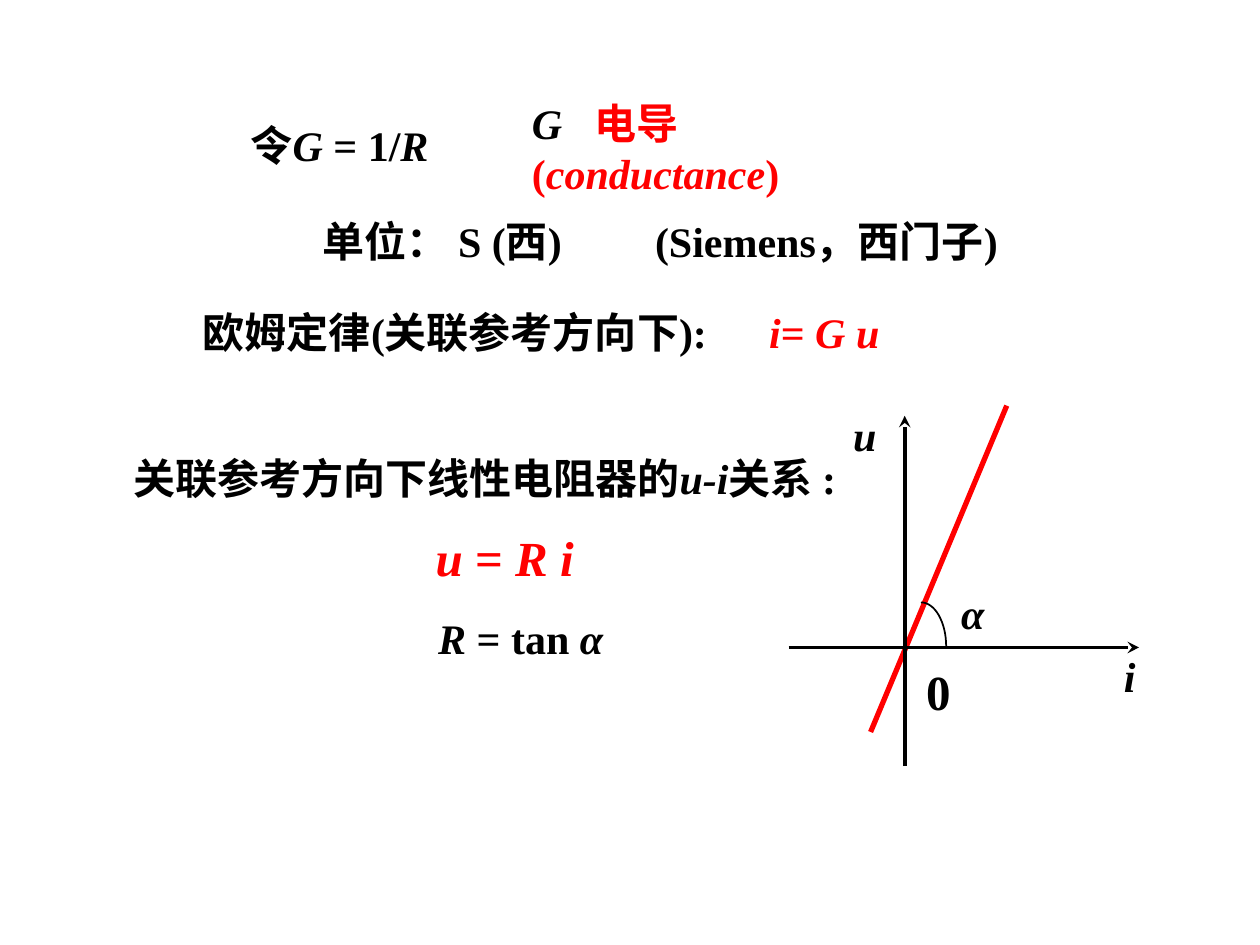
"""Build a slide on conductance and the u-i line of a linear resistor."""
from math import cos, pi, sin

from lxml import etree
from pptx import Presentation
from pptx.dml.color import RGBColor
from pptx.enum.shapes import MSO_CONNECTOR
from pptx.enum.text import MSO_ANCHOR, MSO_AUTO_SIZE, PP_ALIGN
from pptx.oxml.ns import qn
from pptx.util import Pt

LEFT, CENTER, JUSTIFY = PP_ALIGN.LEFT, PP_ALIGN.CENTER, PP_ALIGN.JUSTIFY
MIDDLE = MSO_ANCHOR.MIDDLE
GROW = MSO_AUTO_SIZE.SHAPE_TO_FIT_TEXT
STRAIGHT = MSO_CONNECTOR.STRAIGHT
FONT = "Times New Roman"
COLORS = {"black": "000000", "red": "FF0000"}

presentation = Presentation()
presentation.slide_width, presentation.slide_height = Pt(720), Pt(540)
slide = presentation.slides.add_slide(presentation.slide_layouts[6])


def add_text(box, runs, size=24, align=LEFT, wrap=True, tab=None, spacing=None):
    shape = slide.shapes.add_textbox(*map(Pt, box))
    frame = shape.text_frame
    frame.margin_left = frame.margin_right = frame.margin_top = frame.margin_bottom = 0
    frame.vertical_anchor, frame.auto_size, frame.word_wrap = MIDDLE, GROW, wrap
    paragraph = frame.paragraphs[0]
    paragraph.alignment = align
    if spacing:
        paragraph.line_spacing = spacing
    if tab:
        tabs = etree.SubElement(paragraph._p.get_or_add_pPr(), qn("a:tabLst"))
        etree.SubElement(tabs, qn("a:tab"), pos=str(Pt(tab)), algn="l")
    for text, color, italic in runs:
        run = paragraph.add_run()
        run.text = text
        font = run.font
        font.name, font.size, font.bold, font.italic = FONT, Pt(size), True, italic
        font.color.rgb = RGBColor.from_string(COLORS[color])


def add_line(start, end, color, width, arrow=False):
    connector = slide.shapes.add_connector(STRAIGHT, *map(Pt, start + end))
    connector.line.color.rgb = RGBColor.from_string(COLORS[color])
    connector.line.width = Pt(width)
    if arrow:
        etree.SubElement(connector.line._get_or_add_ln(), qn("a:tailEnd"), type="stealth")
    etree.SubElement(connector._element.spPr, qn("a:effectLst"))


add_text((141, 68.4, 106, 28.8), [
    ("令", "black", False), ("G ", "black", True),
    ("= 1/", "black", False), ("R", "black", True)], align=CENTER)
add_text((304, 70, 224.6, 28.8), [
    ("G\t", "black", True), ("电导 (", "red", False),
    ("conductance", "red", True), (")", "red", False)], tab=36)
add_text((116, 175, 541.5, 28.8), [
    ("欧姆定律(关联参考方向下):\t", "black", False), ("i", "red", True),
    ("= ", "red", False), ("G u", "red", True)], tab=323.5)
add_text((184.3, 108.7, 486.7, 43.2), [
    ("单位： S (西)\t(Siemens，西门子)", "black", False)],
    align=JUSTIFY, tab=190, spacing=1.5)
add_text((76.3, 258.5, 414, 28.8), [
    ("关联参考方向下线性电阻器的", "black", False),
    ("u-i", "black", True), ("关系 :", "black", False)])
add_text((232, 350, 131, 28.8), [
    ("R ", "black", True), ("= tan ", "black", False), ("α", "black", True)], align=CENTER)
add_text((241.2, 298, 94.3, 41), [
    ("u ", "red", True), ("= ", "red", False), ("R i", "red", True)],
    size=28, align=CENTER)

add_line((575.3, 231.8), (497.5, 418.3), "red", 3)

arc_x, arc_y, radius_x, radius_y, steps = 526.3, 369.4, 14.4, 25.2, 16
angles = [pi / 2 * step / steps for step in range(steps + 1)]
points = [(Pt(arc_x + radius_x * sin(angle)), Pt(arc_y - radius_y * cos(angle)))
          for angle in angles]
builder = slide.shapes.build_freeform(*points[0])
builder.add_line_segments(points[1:], close=False)
angle_arc = builder.convert_to_shape()
angle_arc.shadow.inherit = False
angle_arc.fill.background()
angle_arc.line.color.rgb = RGBColor.from_string(COLORS["black"])
angle_arc.line.width = Pt(1)

add_line((450.7, 370), (650.9, 370), "black", 2.25, arrow=True)
add_line((517, 437.8), (517, 237.6), "black", 2.25, arrow=True)

for label, box, size, italic in [
    ("α", (529.2, 335.5, 53.3, 28.8), 24, True),
    ("u", (487.4, 234, 13.7, 28.8), 24, True),
    ("i", (642.2, 371.5, 6.5, 28.8), 24, True),
    ("0", (529.2, 378, 13.7, 33.8), 28, False),
]:
    add_text(box, [(label, "black", italic)], size=size, align=CENTER, wrap=False)

presentation.save("out.pptx")
